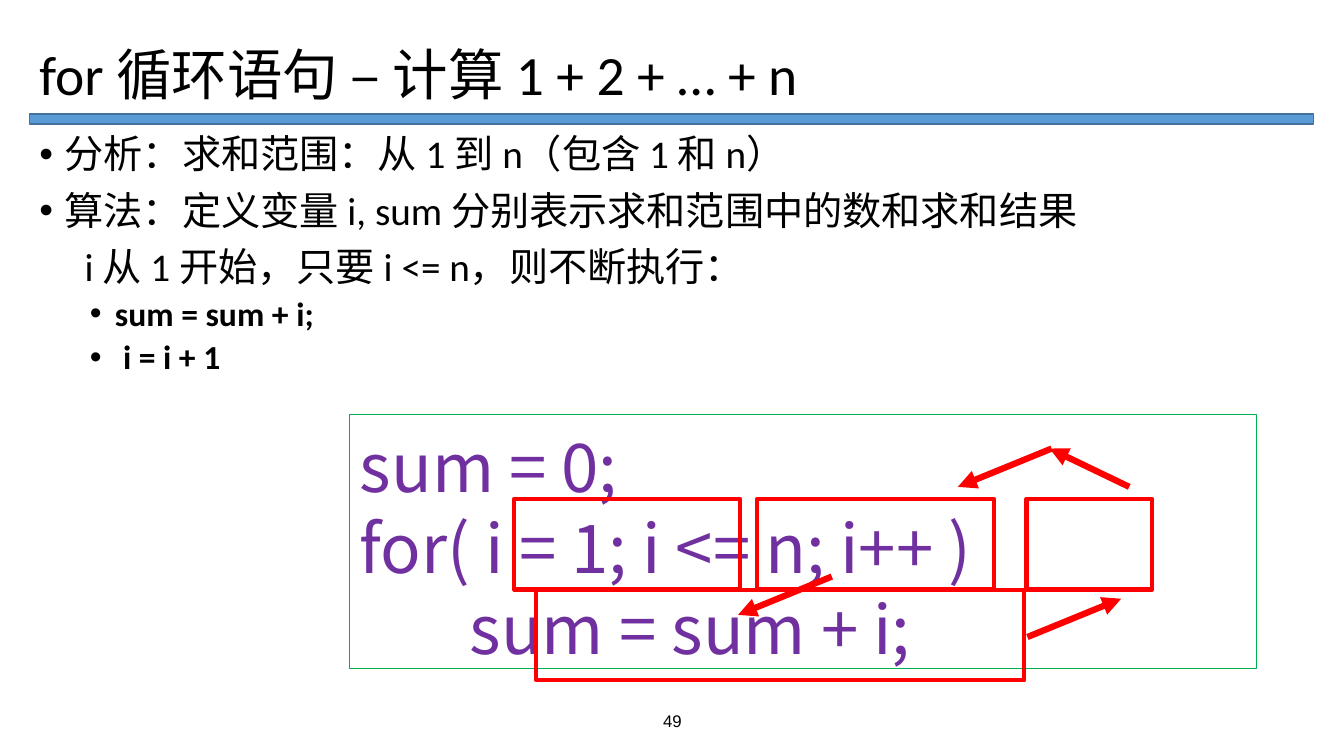
import pptx
import pptx.util
import pptx.dml.color
import pptx.enum.shapes
import pptx.enum.text
import pptx.oxml.ns
from lxml import etree

EMU_PER_PX = 9144  # 100 px to the inch
COLORS = {
    "text": "000000",
    "bar": "5B9BD5",
    "bar_edge": "43739E",
    "code": "7030A0",
    "code_edge": "00B050",
    "mark": "FF0000",
}
CJK_FONT = "Noto Sans CJK SC"
ALIGN = pptx.enum.text.PP_ALIGN
ANCHOR = pptx.enum.text.MSO_ANCHOR

# text, size, bold, level, left margin, first-line indent, space before, bullet
BODY_LINES = [
    ("分析：求和范围：从 1 到 n（包含 1 和 n）", 28, False, 0, 25, -25, 10, "•"),
    ("算法：定义变量 i, sum 分别表示求和范围中的数和求和结果", 28, False, 0, 25, -25, 10, "•"),
    ("i 从 1 开始，只要 i <= n，则不断执行：", 28, False, 0, 45, 0, 10, None),
    ("sum = sum + i;", 24, True, 1, 75, -25, 5, "•"),
    ("i = i + 1", 24, True, 1, 83, -33, 5, "•"),
]
# text, left margin
CODE_LINES = [("sum = 0;", 0), ("for( i = 1; i <= n; i++ )", 0), ("sum = sum + i;", 109)]
MARK_BOXES = [(510, 495, 224, 90), (532, 585, 484, 90), (1018, 495, 125, 90), (751, 495, 235, 90)]
ARROWS = [
    (825, 572, 732, 610),
    (1019, 632, 1112, 594),
    (1043, 445, 950, 483),
    (1120, 483, 1041, 445),
]


def px(length):
    return pptx.util.Emu(length * EMU_PER_PX)


def rgb(name):
    return pptx.dml.color.RGBColor.from_string(COLORS[name])


def add_xml(parent, tag, **attributes):
    return etree.SubElement(parent, pptx.oxml.ns.qn(tag), attributes)


class SlideBuilder:
    def __init__(self, slide):
        self.slide = slide

    def place(self, shape, left, top, width, height):
        shape.left, shape.top = px(left), px(top)
        shape.width, shape.height = px(width), px(height)

    def style(self, paragraph, size, font="Calibri", color="text", bold=False):
        for run in paragraph.runs:
            run.font.size = pptx.util.Pt(size)
            run.font.bold = bold
            run.font.color.rgb = rgb(color)
            run.font.name = font
            add_xml(run.font._element, "a:ea", typeface=CJK_FONT)

    def indent(self, paragraph, margin, first=0, bullet=None):
        """Set the left margin, first-line indent and bullet of a paragraph."""
        properties = paragraph._p.get_or_add_pPr()
        properties.set("marL", str(px(margin)))
        properties.set("indent", str(px(first)))
        if bullet:
            add_xml(properties, "a:buFont", typeface="Arial")
            add_xml(properties, "a:buChar", char=bullet)
        else:
            add_xml(properties, "a:buNone")

    def title(self, text, *box):
        title = self.slide.shapes.title
        self.place(title, *box)
        frame = title.text_frame
        frame.text = text
        frame.vertical_anchor = ANCHOR.MIDDLE
        frame.auto_size = pptx.enum.text.MSO_AUTO_SIZE.NONE
        paragraph = frame.paragraphs[0]
        paragraph.alignment = ALIGN.LEFT
        paragraph.line_spacing = 0.9
        self.style(paragraph, 39.6)

    def body(self, lines, *box):
        body = self.slide.placeholders[1]
        self.place(body, *box)
        frame = body.text_frame
        frame.text = "\n".join(line[0] for line in lines)
        frame.auto_size = pptx.enum.text.MSO_AUTO_SIZE.NONE
        for paragraph, line in zip(frame.paragraphs, lines):
            _, size, bold, level, margin, first, before, bullet = line
            paragraph.level = level
            paragraph.line_spacing = 0.9
            paragraph.space_before = pptx.util.Pt(before)
            self.indent(paragraph, margin, first, bullet)
            self.style(paragraph, size, bold=bold)

    def rectangle(self, box, edge, weight, fill=None):
        shape = self.slide.shapes.add_shape(
            pptx.enum.shapes.MSO_SHAPE.RECTANGLE, *map(px, box))
        shape.shadow.inherit = False
        if fill:
            shape.fill.solid()
            shape.fill.fore_color.rgb = rgb(fill)
        else:
            shape.fill.background()
        shape.line.color.rgb = rgb(edge)
        shape.line.width = pptx.util.Pt(weight)
        return shape

    def code(self, lines, *box):
        frame = self.rectangle(box, "code_edge", 0.75).text_frame
        frame.text = "\n".join(text for text, _ in lines)
        frame.word_wrap = True
        frame.vertical_anchor = ANCHOR.TOP
        frame.margin_top, frame.margin_bottom = px(10), px(0)
        for paragraph, (_, margin) in zip(frame.paragraphs, lines):
            paragraph.alignment = ALIGN.LEFT
            paragraph.line_spacing = pptx.util.Pt(58)
            self.indent(paragraph, margin)
            self.style(paragraph, 48, CJK_FONT, "code")

    def page_number(self, text, *box):
        frame = self.slide.shapes.add_textbox(*map(px, box)).text_frame
        frame.text = text
        frame.word_wrap = True
        frame.vertical_anchor = ANCHOR.MIDDLE
        frame.paragraphs[0].alignment = ALIGN.CENTER
        self.style(frame.paragraphs[0], 12, "Arial")

    def arrow(self, *ends):
        connector = self.slide.shapes.add_connector(
            pptx.enum.shapes.MSO_CONNECTOR.STRAIGHT, *map(px, ends))
        connector.line.color.rgb = rgb("mark")
        connector.line.width = pptx.util.Pt(4.5)
        add_xml(connector.line._get_or_add_ln(), "a:tailEnd", type="triangle")
        add_xml(connector._element.spPr, "a:effectLst")


def main():
    presentation = pptx.Presentation()
    presentation.slide_width, presentation.slide_height = px(1333), px(750)
    builder = SlideBuilder(presentation.slides.add_slide(presentation.slide_layouts[1]))

    builder.title("for 循环语句 – 计算 1 + 2 + … + n", 29, 40, 1274, 73)
    builder.rectangle((29, 113, 1274, 10), "bar_edge", 1, "bar")
    builder.body(BODY_LINES, 29, 129, 1274, 546)
    builder.page_number("49", 442, 695, 450, 40)
    builder.code(CODE_LINES, 347, 411, 899, 252)
    for box in MARK_BOXES:
        builder.rectangle(box, "mark", 3)
    for ends in ARROWS:
        builder.arrow(*ends)

    presentation.save("out.pptx")


if __name__ == "__main__":
    main()
